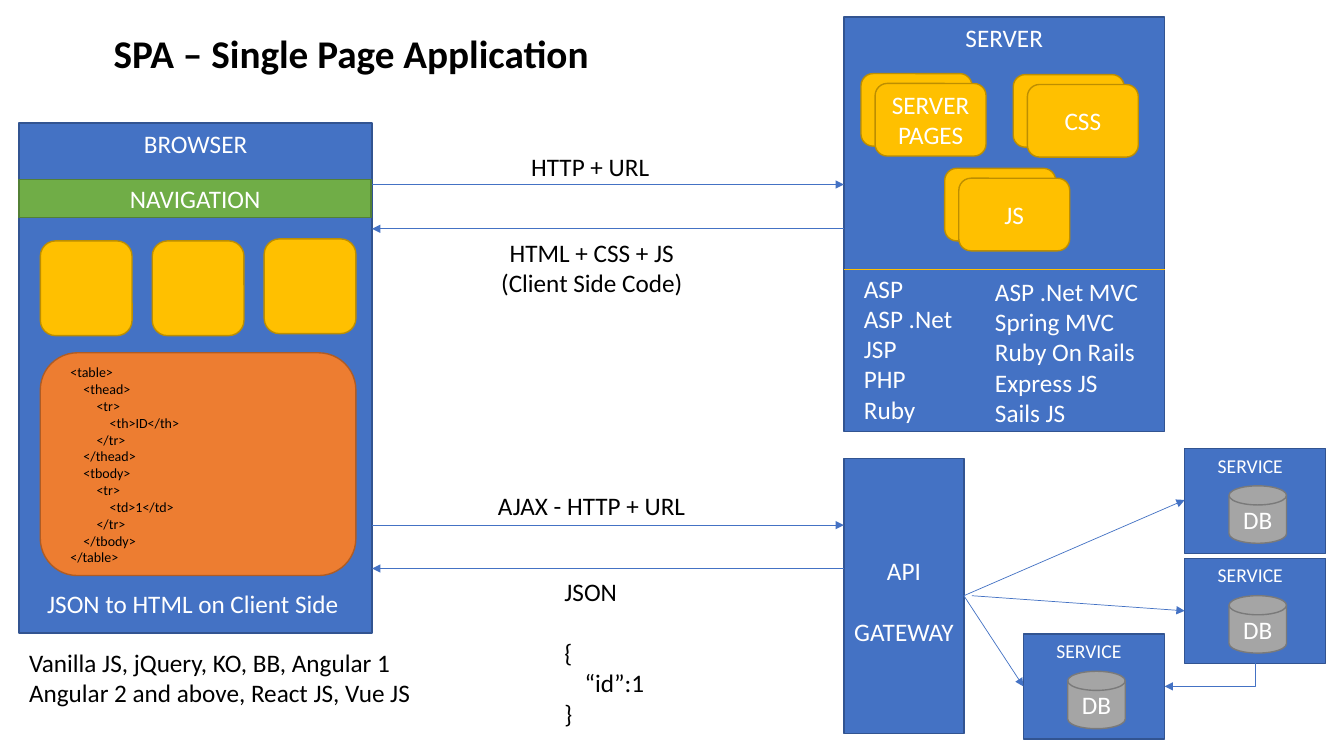
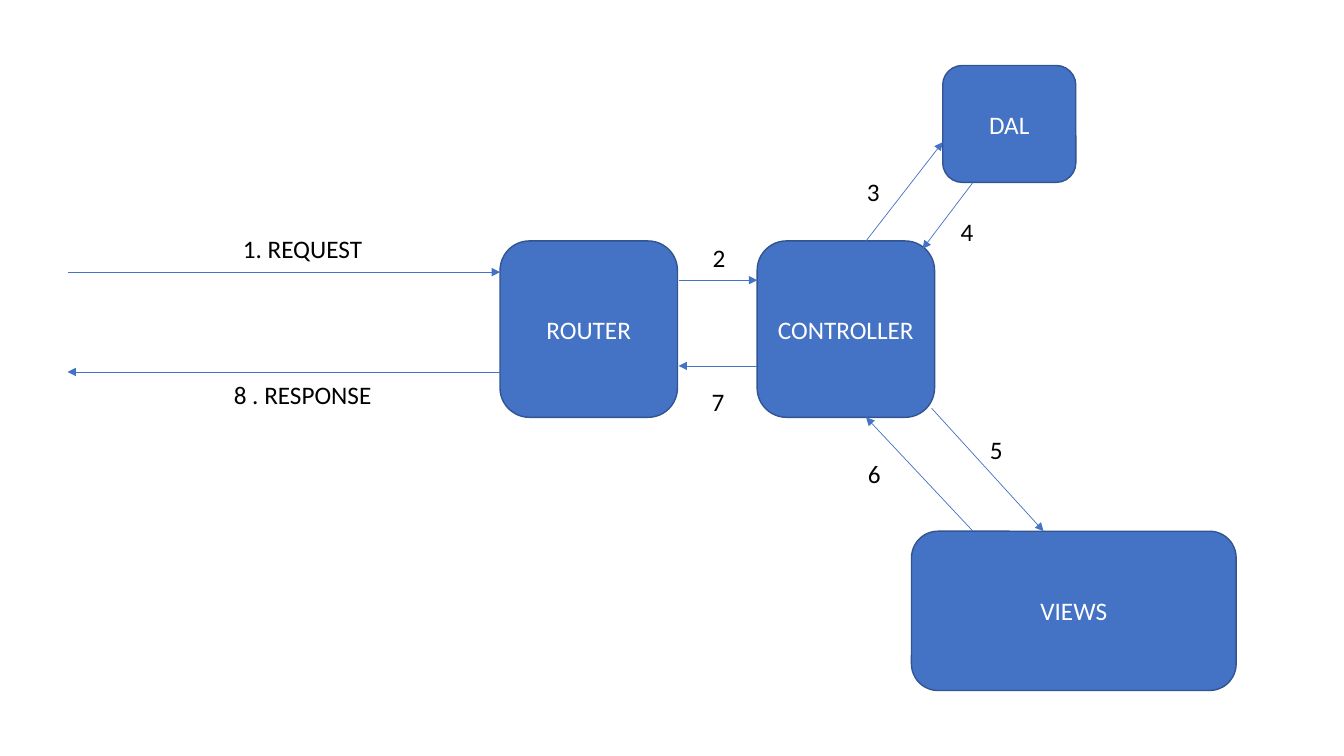
from typing import NamedTuple

from lxml.etree import SubElement
from pptx import Presentation
from pptx.dml.color import RGBColor
from pptx.enum.shapes import MSO_CONNECTOR as Link, MSO_SHAPE as Preset
from pptx.enum.text import MSO_ANCHOR as Anchor, MSO_AUTO_SIZE as Fit, PP_ALIGN as Align
from pptx.oxml.ns import qn
from pptx.util import Inches, Pt

FONT = "Calibri"
WHITE, BLACK = "FFFFFF", "000000"
BLUE, AMBER = "4472C4", "FFC000"
BODY_SIZE = 18
BLANK_LINE = 22  # points


class Style(NamedTuple):
    fill: str
    line: str


BLUE_BOX = Style(BLUE, "325491")
AMBER_BOX = Style(AMBER, "BD8E00")
GREEN_BOX = Style("70AD47", "538035")
ORANGE_BOX = Style("ED7D31", "AF5C24")
GREY_BOX = Style("A5A5A5", "7A7A7A")


class Row(NamedTuple):
    text: str
    indent: float = 0
    space_before: float = 0


class Area(NamedTuple):
    left: float
    top: float
    width: float
    height: float

    def lengths(self) -> list:
        return [Inches(value) for value in self]


class Box(NamedTuple):
    area: Area
    text: str = ""
    style: Style = BLUE_BOX
    preset: Preset = Preset.ROUNDED_RECTANGLE
    anchor: Anchor = Anchor.MIDDLE
    size: float = BODY_SIZE


class Label(NamedTuple):
    area: Area
    rows: list
    color: str = BLACK
    size: float = BODY_SIZE
    bold: bool = False
    wrap: bool = False
    align: Align = Align.LEFT


class Arrow(NamedTuple):
    x1: float
    y1: float
    x2: float
    y2: float


def rgb(color: str) -> RGBColor:
    return RGBColor.from_string(color)


def write_rows(frame, rows: list, color: str, size: float, align: Align, bold: bool = False) -> None:
    for index, row in enumerate(rows):
        row = Row(row) if isinstance(row, str) else row
        para = frame.paragraphs[0] if index == 0 else frame.add_paragraph()
        para.alignment = align
        if row.space_before:
            para.space_before = Pt(row.space_before)
        if row.indent:
            para._p.get_or_add_pPr().set("marL", str(Inches(row.indent)))
        span = para.add_run()
        span.text = row.text
        span.font.name, span.font.size, span.font.bold = FONT, Pt(size), bold
        span.font.color.rgb = rgb(color)


def draw_box(page, box: Box, rows: list | None = None):
    shape = page.shapes.add_shape(box.preset, *box.area.lengths())
    shape.shadow.inherit = False
    shape.fill.solid()
    shape.fill.fore_color.rgb = rgb(box.style.fill)
    shape.line.color.rgb = rgb(box.style.line)
    shape.line.width = Pt(1)
    frame = shape.text_frame
    frame.word_wrap = True
    frame.vertical_anchor = box.anchor
    rows = rows or ([box.text] if box.text else [])
    write_rows(frame, rows, WHITE, box.size, Align.CENTER)
    return shape


def draw_label(page, label: Label) -> None:
    frame = page.shapes.add_textbox(*label.area.lengths()).text_frame
    frame.word_wrap = label.wrap
    frame.auto_size = Fit.SHAPE_TO_FIT_TEXT
    write_rows(frame, label.rows, label.color, label.size, label.align, label.bold)


def draw_line(page, ends: Arrow, color: str = BLUE, head: bool = True, link: Link = Link.STRAIGHT):
    line = page.shapes.add_connector(link, *(Inches(value) for value in ends))
    line.line.color.rgb = rgb(color)
    line.line.width = Pt(0.5)
    if head:
        SubElement(line.line._get_or_add_ln(), qn("a:tailEnd"), type="triangle")
    SubElement(line._element.spPr, qn("a:effectLst"))
    return line


def draw_corner_arrow(page, ends: Arrow) -> None:
    """Arrow that runs down from its start, then left to its end."""
    across, down = ends.x1 - ends.x2, ends.y2 - ends.y1
    middle_x, middle_y = (ends.x1 + ends.x2) / 2, (ends.y1 + ends.y2) / 2
    unturned = Arrow(middle_x - down / 2, middle_y - across / 2,
                     middle_x + down / 2, middle_y + across / 2)
    properties = draw_line(page, unturned, link=Link.ELBOW)._element.spPr
    properties.find(qn("a:xfrm")).set("rot", str(90 * 60000))
    properties.find(qn("a:prstGeom")).set("prst", "bentConnector2")


def draw_file_stack(page, left: float, top: float, name: str) -> None:
    for offset, text in ((0, ""), (0.14, name)):
        area = Area(left + offset, top + offset * 0.7, 1.1, 0.72)
        draw_box(page, Box(area, text, AMBER_BOX))


def draw_service(page, left: float, top: float) -> None:
    box = Box(Area(left, top, 1.4, 1.04), "SERVICE", preset=Preset.RECTANGLE,
              anchor=Anchor.TOP, size=14)
    draw_box(page, box).text_frame.margin_left = 0
    disk = Area(left + 0.44, top + 0.37, 0.57, 0.57)
    draw_box(page, Box(disk, "DB", GREY_BOX, Preset.FLOWCHART_MAGNETIC_DISK))


def draw_server(page) -> None:
    draw_box(page, Box(Area(8.37, 0.17, 3.18, 4.11), "SERVER",
                       preset=Preset.RECTANGLE, anchor=Anchor.TOP))
    for left, top, name in ((8.54, 0.73, "SERVER PAGES"), (10.05, 0.74, "CSS"), (9.37, 1.67, "JS")):
        draw_file_stack(page, left, top, name)
    languages = ["ASP", "ASP .Net", "JSP", "PHP", "Ruby"]
    frameworks = ["ASP .Net MVC", "Spring MVC", "Ruby On Rails", "Express JS", "Sails JS"]
    draw_label(page, Label(Area(8.47, 2.66, 1.09, 1.62), languages, WHITE))
    draw_label(page, Label(Area(9.77, 2.69, 1.78, 1.62), frameworks, WHITE, wrap=True))
    draw_line(page, Arrow(8.37, 2.67, 11.55, 2.67), AMBER, head=False)


def draw_browser(page) -> None:
    draw_box(page, Box(Area(0.19, 1.22, 3.5, 5.06), "BROWSER",
                       preset=Preset.RECTANGLE, anchor=Anchor.TOP))
    draw_box(page, Box(Area(0.19, 1.78, 3.49, 0.38), "NAVIGATION", GREEN_BOX, Preset.RECTANGLE))
    for column, top in enumerate((2.39, 2.39, 2.37)):
        draw_box(page, Box(Area(0.4 + column * 1.11, top, 0.91, 0.94), style=AMBER_BOX))
    draw_box(page, Box(Area(0.4, 3.5, 3.13, 2.21), style=ORANGE_BOX))
    markup = [
        (0, "<table>"), (1, "<thead>"), (2, "<tr>"), (3, "<th>ID</th>"), (2, "</tr>"),
        (1, "</thead>"), (1, "<tbody>"), (2, "<tr>"), (3, "<td>1</td>"), (2, "</tr>"),
        (1, "</tbody>"), (0, "</table>"),
    ]
    code = [Row(text, indent=depth * 0.13) for depth, text in markup]
    draw_label(page, Label(Area(0.6, 3.56, 2.44, 2.12), code, size=10, wrap=True))
    draw_label(page, Label(Area(0.37, 5.79, 3.13, 0.4), ["JSON to HTML on Client Side"], WHITE))


def draw_gateway(page) -> None:
    box = Box(Area(8.37, 4.55, 1.19, 2.73), preset=Preset.RECTANGLE, anchor=Anchor.TOP)
    rows = [Row("API"), Row("GATEWAY", space_before=BLANK_LINE)]
    draw_box(page, box, rows).text_frame.margin_top = Inches(0.96)


def build_application(page) -> None:
    draw_server(page)
    draw_browser(page)
    draw_gateway(page)
    for left, top in ((11.75, 4.45), (11.75, 5.54), (10.15, 6.29)):
        draw_service(page, left, top)

    json_rows = [Row("JSON"), Row("{", space_before=BLANK_LINE), Row("“id”:1", indent=0.2), Row("}")]
    labels = [
        Label(Area(1.03, 0.24, 4.97, 0.57), ["SPA – Single Page Application"], size=28, bold=True),
        Label(Area(5.17, 1.45, 1.39, 0.4), ["HTTP + URL"]),
        Label(Area(4.86, 2.3, 2.02, 0.71), ["HTML + CSS + JS", "(Client Side Code)"],
              align=Align.CENTER),
        Label(Area(4.84, 4.82, 2.08, 0.4), ["AJAX - HTTP + URL"]),
        Label(Area(5.5, 5.67, 1, 1.62), json_rows),
        Label(Area(0.19, 6.37, 4.03, 0.71),
              ["Vanilla JS, jQuery, KO, BB, Angular 1", "Angular 2 and above, React JS, Vue JS"]),
    ]
    for label in labels:
        draw_label(page, label)

    for request_y, response_y in ((1.83, 2.27), (5.21, 5.64)):
        draw_line(page, Arrow(3.69, request_y, 8.37, request_y))
        draw_line(page, Arrow(8.37, response_y, 3.69, response_y))
    for start_x, end_x, end_y in ((9.56, 11.75, 4.96), (9.64, 11.75, 6.06), (9.56, 10.15, 6.81)):
        draw_line(page, Arrow(start_x, 5.91, end_x, end_y))
    draw_corner_arrow(page, Arrow(12.45, 6.58, 11.55, 6.81))


def build_request_flow(page) -> None:
    boxes = [
        Box(Area(4.96, 2.39, 1.76, 1.75), "ROUTER"),
        Box(Area(7.51, 2.39, 1.76, 1.75), "CONTROLLER"),
        Box(Area(9.35, 0.65, 1.32, 1.16), "DAL"),
        Box(Area(9.04, 5.27, 3.22, 1.58), "VIEWS"),
    ]
    for box in boxes:
        draw_box(page, box)

    steps = [
        ("1. REQUEST", Area(2.31, 2.27, 1.39, 0.4), Arrow(0.67, 2.7, 4.96, 2.7)),
        ("2", Area(6.97, 2.36, 0.33, 0.4), Arrow(6.73, 2.78, 7.51, 2.78)),
        ("3", Area(8.5, 1.7, 0.33, 0.4), Arrow(8.59, 2.39, 9.35, 1.41)),
        ("4", Area(9.43, 2.1, 0.33, 0.4), Arrow(9.65, 1.81, 9.15, 2.47)),
        ("5", Area(9.72, 4.26, 0.33, 0.4), Arrow(9.24, 4.05, 10.35, 5.27)),
        ("6", Area(8.51, 4.5, 0.33, 0.4), Arrow(9.65, 5.27, 8.59, 4.14)),
        ("7", Area(6.96, 3.78, 0.33, 0.4), Arrow(7.51, 3.63, 6.73, 3.63)),
        ("8 . RESPONSE", Area(2.22, 3.71, 1.58, 0.4), Arrow(4.96, 3.69, 0.67, 3.69)),
    ]
    for name, area, ends in steps:
        draw_label(page, Label(area, [name]))
        draw_line(page, ends)


def main() -> None:
    deck = Presentation()
    deck.slide_width, deck.slide_height = Inches(13.33), Inches(7.5)
    for build in (build_application, build_request_flow):
        build(deck.slides.add_slide(deck.slide_layouts[6]))
    deck.save("out.pptx")


if __name__ == "__main__":
    main()
